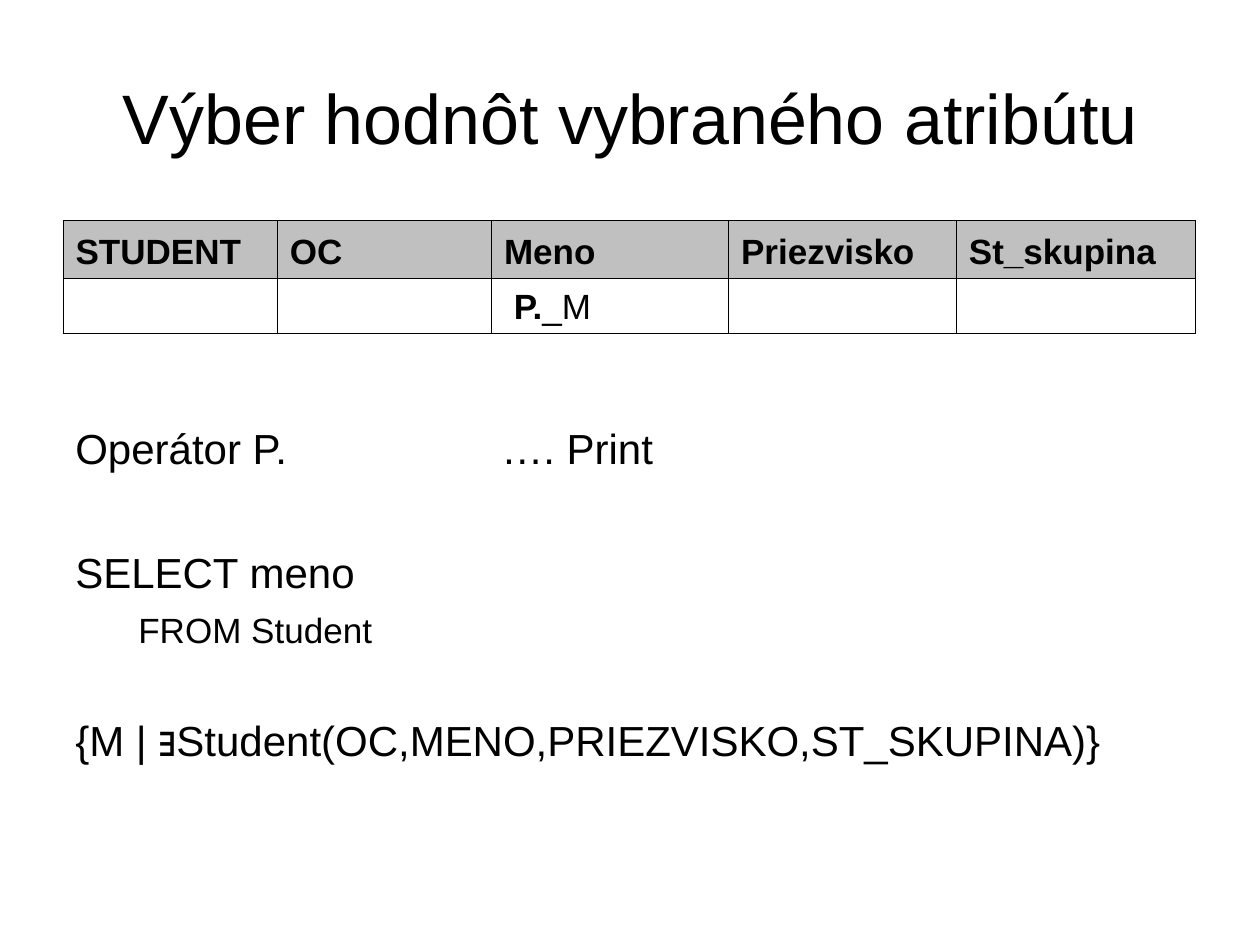
from pptx import Presentation
from pptx.dml.color import RGBColor
from pptx.enum.text import MSO_ANCHOR as Anchor, PP_ALIGN as Align
from pptx.oxml.ns import qn
from pptx.util import Pt
from lxml.etree import SubElement

BLACK, GREY, WHITE = "000000", "C0C0C0", "FFFFFF"
THIN, MIDDLE = 0.45, 0.96
HEADINGS = ["STUDENT", "OC", "Meno", "Priezvisko", "St_skupina"]
COLUMN_WIDTHS = [122.4, 122.4, 135.5, 130.2, 136.7]
ROW_HEIGHTS = [33.1, 31]


def color(hex_value):
    return RGBColor.from_string(hex_value)


def add_run(paragraph, wording, size, bold=False):
    run = paragraph.add_run()
    run.text = wording
    font_format = {"name": "Arial", "size": Pt(size), "bold": bold}
    for key, value in font_format.items():
        setattr(run.font, key, value)
    run.font.color.rgb = color(BLACK)


def add_frame(slide, box, anchor):
    frame = slide.shapes.add_textbox(*map(Pt, box)).text_frame
    frame.word_wrap = True
    frame.vertical_anchor = anchor
    return frame


def add_title(slide, box):
    heading = add_frame(slide, box, Anchor.MIDDLE).paragraphs[0]
    heading.alignment = Align.CENTER
    add_run(heading, "Výber hodnôt vybraného atribútu", 40)


def set_borders(cell, top, bottom):
    properties = cell._tc.get_or_add_tcPr()
    widths = {"a:lnL": THIN, "a:lnR": THIN, "a:lnT": top, "a:lnB": bottom}
    for position, (tag, width) in enumerate(widths.items()):
        line = properties.makeelement(qn(tag), {"w": str(Pt(width))})
        fill = SubElement(line, qn("a:solidFill"))
        SubElement(fill, qn("a:srgbClr"), val=BLACK)
        properties.insert(position, line)


def add_query_table(slide, box):
    table = slide.shapes.add_table(2, len(HEADINGS), *map(Pt, box)).table
    for column, width in zip(table.columns, COLUMN_WIDTHS):
        column.width = Pt(width)
    for row, height in zip(table.rows, ROW_HEIGHTS):
        row.height = Pt(height)

    # Heading row in grey, query row in white
    edges = [(GREY, THIN, MIDDLE), (WHITE, MIDDLE, THIN)]
    for row, (background, top, bottom) in zip(table.rows, edges):
        for cell in row.cells:
            cell.fill.solid()
            cell.fill.fore_color.rgb = color(background)
            cell.vertical_anchor = Anchor.BOTTOM
            set_borders(cell, top, bottom)
    for index, heading in enumerate(HEADINGS):
        add_run(table.cell(0, index).text_frame.paragraphs[0], heading, 20, True)

    # Print operator in the Meno column
    print_cell = table.cell(1, HEADINGS.index("Meno"))
    print_cell.margin_left = Pt(12.8)
    operator = print_cell.text_frame.paragraphs[0]
    add_run(operator, "P.", 20, True)
    add_run(operator, "_M", 20)


def add_explanation(slide, box):
    frame = add_frame(slide, box, Anchor.TOP)
    # Each line: space before, left margin, size, runs with their weight
    lines = [
        (0, 0, 24, [("Operátor P. \t\t…. Print", False)]),
        (42, 0, 24, [("SELECT meno", False)]),
        (6.4, 36, 20, [("FROM Student", False)]),
        (36.5, 0, 24, [("{M | ", False), ("∃", True),
                       ("Student(OC,MENO,PRIEZVISKO,ST_SKUPINA)}", False)]),
    ]
    for index, (space, margin, size, runs) in enumerate(lines):
        paragraph = frame.add_paragraph() if index else frame.paragraphs[0]
        properties = paragraph._p.get_or_add_pPr()
        properties.set("marL", str(Pt(margin)))
        if index == 0:
            tabs = SubElement(properties, qn("a:tabLst"))
            for stop in (171.4, 243.4):
                SubElement(tabs, qn("a:tab"), pos=str(Pt(stop)), algn="l")
        paragraph.space_before = Pt(space)
        for wording, bold in runs:
            add_run(paragraph, wording, size, bold)


def main():
    presentation = Presentation()
    presentation.slide_width, presentation.slide_height = Pt(720), Pt(540)
    slide = presentation.slides.add_slide(presentation.slide_layouts[6])
    add_title(slide, (36, 21.6, 648, 90))
    add_query_table(slide, (36, 126, sum(COLUMN_WIDTHS), sum(ROW_HEIGHTS)))
    add_explanation(slide, (36, 238, 648, 270))
    presentation.save("out.pptx")


if __name__ == "__main__":
    main()
